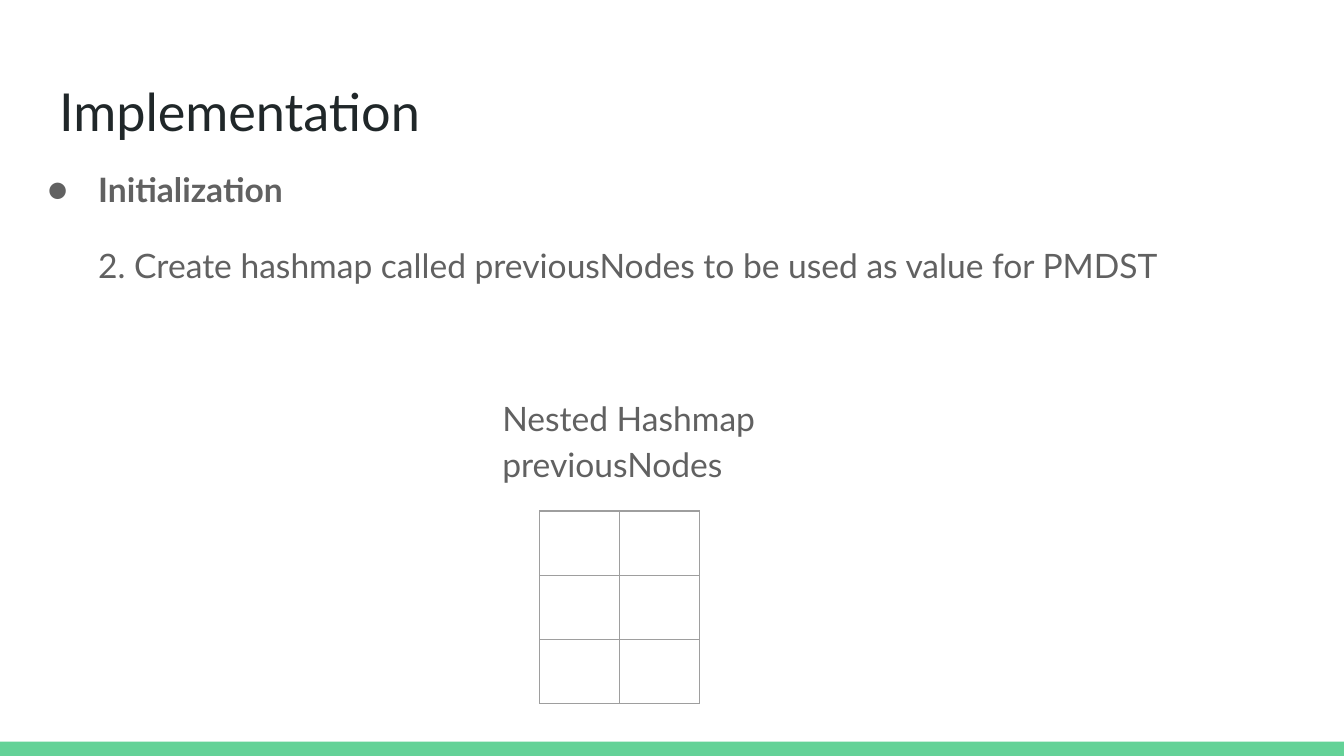
import pptx
import pptx.util
import pptx.dml.color
import pptx.enum.shapes
import pptx.enum.text
import pptx.oxml.ns
from lxml import etree

Pt = pptx.util.Pt

# Content
TITLE = "Implementation"
BODY = [
    {"text": "Initialization", "bold": True, "bullet": "●", "left": 36,
     "indent": -27, "format": {"line_spacing": 1.15}},
    {"text": "2. Create hashmap called previousNodes to be used as value for PMDST",
     "left": 36, "format": {"line_spacing": 1.15, "space_before": Pt(16)}},
]
TABLE_LABEL = [
    {"text": "Nested Hashmap previousNodes", "left": 72,
     "format": {"line_spacing": 1.15, "space_after": Pt(16)}},
]
ROWS, COLUMNS = 3, 2

# Style
FONT = "Lato"
DARK, GREY, GREEN, BORDER = "202729", "616161", "63D297", "9E9E9E"
WIDTH, HEIGHT = 720, 405
BAR_HEIGHT = 7.6
COLUMN_WIDTH, ROW_HEIGHT = 42.8, 34.4
FRAME = {
    "word_wrap": True,
    "auto_size": pptx.enum.text.MSO_AUTO_SIZE.NONE,
    "vertical_anchor": pptx.enum.text.MSO_ANCHOR.TOP,
    "margin_left": Pt(7.2), "margin_right": Pt(7.2),
    "margin_top": Pt(7.2), "margin_bottom": Pt(7.2),
}


def color(value):
    return pptx.dml.color.RGBColor.from_string(value)


def set_values(target, values):
    for name, value in values.items():
        setattr(target, name, value)


def add_element(parent, tag, **attributes):
    return etree.SubElement(parent, pptx.oxml.ns.qn(tag), attributes)


def place(shape, left, top, width, height):
    set_values(shape, {"left": Pt(left), "top": Pt(top),
                       "width": Pt(width), "height": Pt(height)})


def write_run(paragraph, text, size, fill, bold=False):
    run = paragraph.add_run()
    run.text = text
    set_values(run.font, {"name": FONT, "size": Pt(size), "bold": bold})
    run.font.color.rgb = color(fill)


def add_text(slide, box, items):
    shape = slide.shapes.add_textbox(*map(Pt, box))
    frame = shape.text_frame
    set_values(frame, FRAME)
    for index, item in enumerate(items):
        paragraph = frame.add_paragraph() if index else frame.paragraphs[0]
        properties = paragraph._p.get_or_add_pPr()
        properties.set("marL", str(Pt(item["left"])))
        properties.set("indent", str(Pt(item.get("indent", 0))))
        if "bullet" in item:
            bullet_color = add_element(properties, "a:buClr")
            add_element(bullet_color, "a:srgbClr", val=GREY)
            add_element(properties, "a:buFont", typeface=FONT)
            add_element(properties, "a:buChar", char=item["bullet"])
        set_values(paragraph, item["format"])
        write_run(paragraph, item["text"], 18, GREY, item.get("bold", False))


def add_borders(cell):
    properties = cell._tc.get_or_add_tcPr()
    for tag in ("a:lnL", "a:lnR", "a:lnT", "a:lnB"):
        line = add_element(properties, tag, w=str(Pt(0.75)))
        add_element(add_element(line, "a:solidFill"), "a:srgbClr", val=BORDER)


def main():
    presentation = pptx.Presentation()
    presentation.slide_width, presentation.slide_height = Pt(WIDTH), Pt(HEIGHT)
    slide = presentation.slides.add_slide(presentation.slide_layouts[5])

    # Bottom bar
    bar = slide.shapes.add_shape(
        pptx.enum.shapes.MSO_SHAPE.RECTANGLE,
        *map(Pt, (0, HEIGHT - BAR_HEIGHT, WIDTH, BAR_HEIGHT)))
    bar.shadow.inherit = False
    bar.fill.solid()
    bar.fill.fore_color.rgb = color(GREEN)
    bar.line.fill.background()

    # Title
    title = slide.shapes.title
    place(title, 24.5, 35, 671, 45)
    set_values(title.text_frame, FRAME)
    paragraph = title.text_frame.paragraphs[0]
    paragraph.alignment = pptx.enum.text.PP_ALIGN.LEFT
    write_run(paragraph, TITLE, 28, DARK)

    # Body text
    add_text(slide, (9.5, 80, 671, 84), BODY)

    # Empty hashmap grid
    frame = slide.shapes.add_table(
        ROWS, COLUMNS, Pt(289.1), Pt(273.8),
        Pt(COLUMNS * COLUMN_WIDTH), Pt(ROWS * ROW_HEIGHT))
    table = frame.table
    set_values(table, {"first_row": False, "horz_banding": False})
    for column in table.columns:
        column.width = Pt(COLUMN_WIDTH)
    for row in table.rows:
        row.height = Pt(ROW_HEIGHT)
    for cell in table.iter_cells():
        add_borders(cell)
        cell.fill.background()

    # Grid label
    add_text(slide, (190, 202.5, 284.5, 65.5), TABLE_LABEL)

    presentation.save("out.pptx")


if __name__ == "__main__":
    main()
